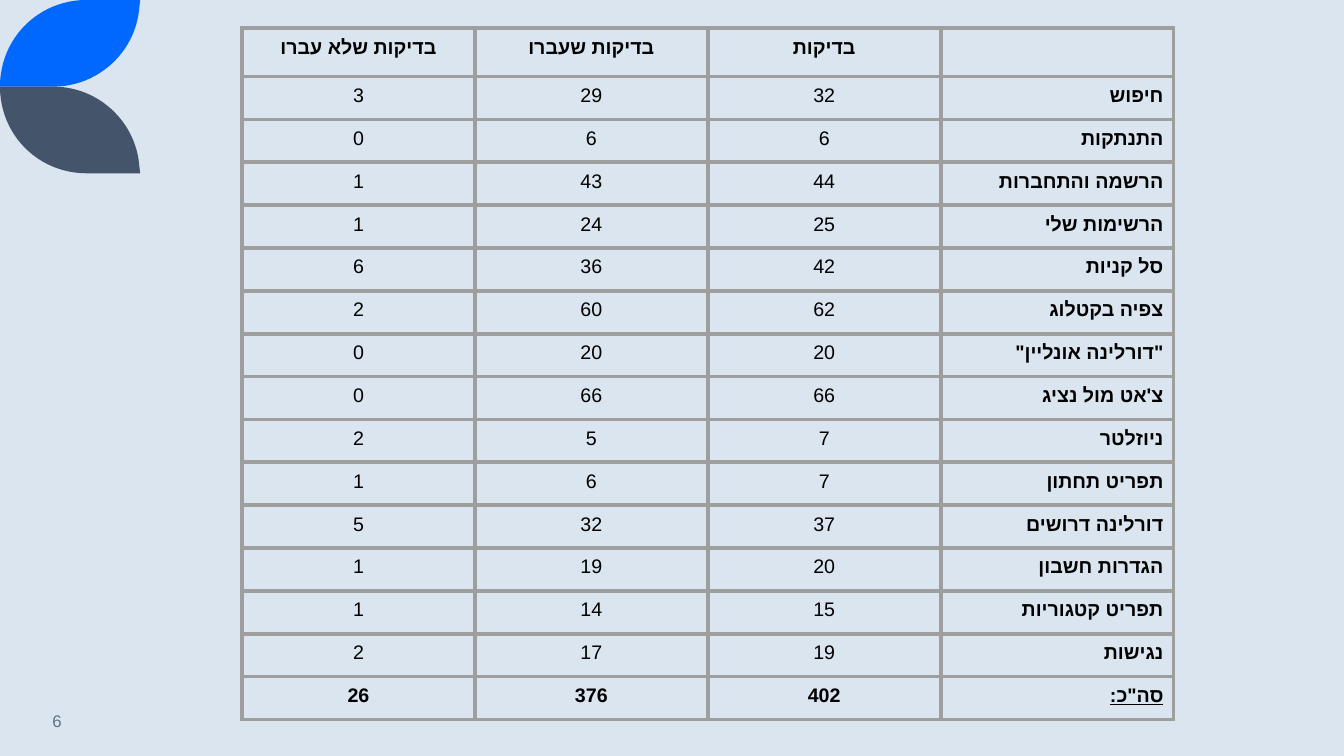
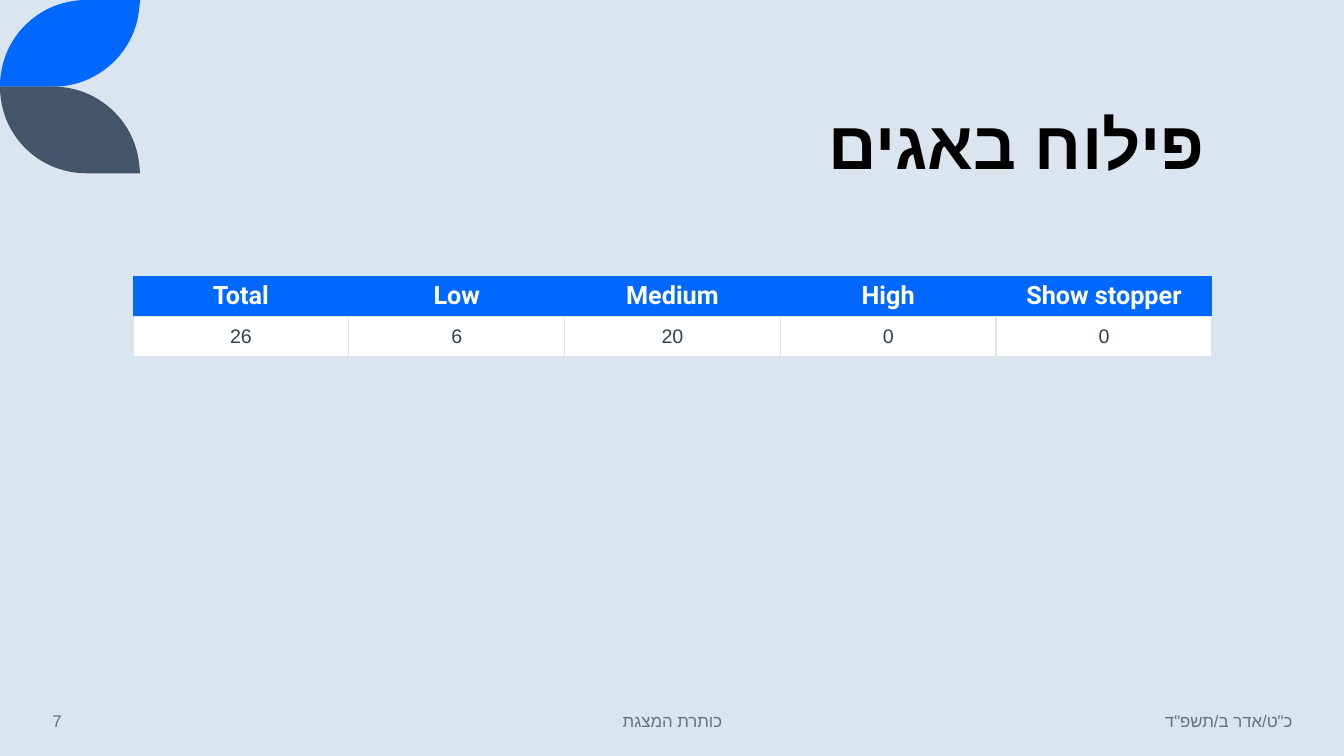
from lxml import etree
from pptx import Presentation
from pptx import util as u
from pptx.dml.color import RGBColor
from pptx.enum import text
from pptx.oxml.ns import qn

# Shared colours and text styles
PALE = RGBColor(0xDA, 0xE5, 0xEF)
BLUE = RGBColor(0x00, 0x68, 0xFF)
SLATE = RGBColor(0x44, 0x54, 0x6A)
INK = RGBColor(0x32, 0x3F, 0x4F)
FOOTER_GREY = RGBColor(0x63, 0x71, 0x83)
RULE_GREY = RGBColor(0x9E, 0x9E, 0x9E)
WHITE = RGBColor(0xFF, 0xFF, 0xFF)
BLACK = RGBColor(0, 0, 0)

LEFT, CENTER, RIGHT = text.PP_ALIGN.LEFT, text.PP_ALIGN.CENTER, text.PP_ALIGN.RIGHT
TOP, MIDDLE, BOTTOM = (text.MSO_ANCHOR.TOP, text.MSO_ANCHOR.MIDDLE,
                       text.MSO_ANCHOR.BOTTOM)
TITLE = dict(size=u.Pt(48), name="Roboto", bold=True, color=BLACK)
FOOTER = dict(size=u.Pt(12), name="Roboto", bold=False, color=FOOTER_GREY)
RESULT = dict(size=u.Pt(14), name="Arial", bold=False, color=BLACK)
RESULT_BOLD = dict(RESULT, bold=True)
BUG_HEAD = dict(size=u.Pt(18), name="Roboto", bold=True, color=WHITE)
BUG_COUNT = dict(size=u.Pt(14), name="Roboto", bold=False, color=INK)

# Content
RESULT_HEADINGS = ("בדיקות שלא עברו", "בדיקות שעברו", "בדיקות", "")
RESULTS = [  # area, tests, passed, failed
    ("חיפוש", 32, 29, 3),
    ("התנתקות", 6, 6, 0),
    ("הרשמה והתחברות", 44, 43, 1),
    ("הרשימות שלי", 25, 24, 1),
    ("סל קניות", 42, 36, 6),
    ("צפיה בקטלוג", 62, 60, 2),
    ('"דורלינה אונליין"', 20, 20, 0),
    ("צ'אט מול נציג", 66, 66, 0),
    ("ניוזלטר", 7, 5, 2),
    ("תפריט תחתון", 7, 6, 1),
    ("דורלינה דרושים", 37, 32, 5),
    ("הגדרות חשבון", 20, 19, 1),
    ("תפריט קטגוריות", 15, 14, 1),
    ("נגישות", 19, 17, 2),
    ('סה"כ:', 402, 376, 26),
]
BUG_TITLE = "פילוח באגים"
BUGS = [("Total", 26), ("Low", 6), ("Medium", 20), ("High", 0), ("Show stopper", 0)]
DECK_TITLE = "כותרת המצגת"
DECK_DATE = 'כ"ט/אדר ב/תשפ"ד'

# Result table heights: heading row, then all rows below it together
HEADING_HEIGHT, RESULTS_HEIGHT = 0.48, 6.38

# Leaf outline: start, then straight points (2 numbers) or curves (6 numbers)
LEAF_WIDTH, LEAF_HEIGHT = 1.39, 0.86
LEAF = [
    (LEAF_WIDTH, 0), (0.86, 0),
    (0.38, 0, 0, 0.38, 0, LEAF_HEIGHT),
    (0.53, LEAF_HEIGHT),
    (0.97, LEAF_HEIGHT, 1.34, 0.52, 1.38, 0.09),
]
CURVE_STEPS = 24


def write(paragraph, wording, style, align, rtl=True):
    paragraph.alignment = align
    if rtl:
        paragraph._p.get_or_add_pPr().set("rtl", "1")
    run = paragraph.add_run()
    run.text = str(wording)
    for key, value in style.items():
        if key == "color":
            run.font.color.rgb = value
        else:
            setattr(run.font, key, value)
    etree.SubElement(run._r.get_or_add_rPr(), qn("a:cs"), typeface="Arial")


def add_label(slide, box, wording, style, align, anchor=MIDDLE):
    frame = slide.shapes.add_textbox(*map(u.Inches, box)).text_frame
    frame.word_wrap = True
    frame.vertical_anchor = anchor
    write(frame.paragraphs[0], wording, style, align)
    return frame.paragraphs[0]


def leaf_points():
    points = [LEAF[0]]
    for piece in LEAF[1:]:
        if len(piece) == 2:
            points.append(piece)
            continue
        corners = [points[-1], piece[:2], piece[2:4], piece[4:]]
        for step in range(1, CURVE_STEPS + 1):
            t = step / CURVE_STEPS
            weights = ((1 - t) ** 3, 3 * t * (1 - t) ** 2, 3 * t * t * (1 - t), t ** 3)
            points.append(tuple(sum(w * c[axis] for w, c in zip(weights, corners))
                                for axis in (0, 1)))
    return points


def add_leaves(slide):
    for color, mirrored in ((BLUE, False), (SLATE, True)):
        outline = [(u.Inches(x), u.Inches(2 * LEAF_HEIGHT - y if mirrored else y))
                   for x, y in leaf_points()]
        builder = slide.shapes.build_freeform(*outline[0])
        builder.add_line_segments(outline[1:], close=True)
        leaf = builder.convert_to_shape()
        leaf.fill.solid()
        leaf.fill.fore_color.rgb = color
        leaf.line.fill.background()
        leaf.shadow.inherit = False


def add_page(prs, number):
    slide = prs.slides.add_slide(prs.slide_layouts[6])
    add_leaves(slide)
    add_label(slide, (0.42, 6.95, 1.81, 0.4), number, FOOTER, LEFT)
    return slide


def add_grid(slide, left, top, col_width, row_heights, col_count):
    table = slide.shapes.add_table(
        len(row_heights), col_count, u.Inches(left), u.Inches(top),
        u.Inches(col_width * col_count), u.Inches(sum(row_heights))).table
    table.first_row = table.horz_banding = False
    for column in table.columns:
        column.width = u.Inches(col_width)
    for row, height in zip(table.rows, row_heights):
        row.height = u.Inches(height)
    return table


def format_cell(cell, fill, anchor, inset, color, points, sides="LRTB"):
    cell.vertical_anchor = anchor
    cell.margin_top = cell.margin_bottom = u.Inches(inset)
    cell.margin_left = cell.margin_right = u.Inches(0.1)
    if fill is None:
        cell.fill.background()
    else:
        cell.fill.solid()
        cell.fill.fore_color.rgb = fill
    # Borders come before the fill in the cell properties
    properties = cell._tc.get_or_add_tcPr()
    for place, side in enumerate("LRTB"):
        line = etree.Element(qn(f"a:ln{side}"), w=str(u.Pt(points)))
        if side in sides:
            paint = etree.SubElement(line, qn("a:solidFill"))
            etree.SubElement(paint, qn("a:srgbClr"), val=str(color))
        else:
            etree.SubElement(line, qn("a:noFill"))
        properties.insert(place, line)


def build_results(prs):
    slide = add_page(prs, 6)
    rows = [RESULT_HEADINGS] + [tuple(reversed(result)) for result in RESULTS]
    heights = [HEADING_HEIGHT] + [RESULTS_HEIGHT / len(RESULTS)] * len(RESULTS)
    table = add_grid(slide, 2.4, 0.28, 2.31, heights, len(RESULT_HEADINGS))
    last_row, area_col = len(RESULTS), len(RESULT_HEADINGS) - 1
    for r, row in enumerate(rows):
        for c, wording in enumerate(row):
            cell = table.cell(r, c)
            format_cell(cell, None, TOP, 0.05 if wording == "" else 0.08, RULE_GREY, 3)
            if wording == "":
                continue
            style = RESULT_BOLD if r in (0, last_row) or c == area_col else RESULT
            if (r, c) == (last_row, area_col):
                style = dict(style, underline=True)
            write(cell.text_frame.paragraphs[0], wording, style,
                  RIGHT if c == area_col else CENTER)


def build_bugs(prs):
    slide = add_page(prs, 7)
    title = add_label(slide, (1.36, 0.42, 10.69, 1.45), BUG_TITLE, TITLE, RIGHT, BOTTOM)
    title.line_spacing = 0.9
    table = add_grid(slide, 1.32, 2.74, 2.14, [0.4, 0.4], len(BUGS))
    for c, (severity, count) in enumerate(BUGS):
        head, value = table.cell(0, c), table.cell(1, c)
        format_cell(head, BLUE, MIDDLE, 0.05, PALE, 1, sides="B")
        format_cell(value, WHITE, MIDDLE, 0.05, PALE, 1)
        write(head.text_frame.paragraphs[0], severity, BUG_HEAD, CENTER, rtl=False)
        write(value.text_frame.paragraphs[0], count, BUG_COUNT, CENTER)
    add_label(slide, (11.06, 6.95, 1.86, 0.4), DECK_DATE, FOOTER, RIGHT)
    add_label(slide, (4.42, 6.95, 4.5, 0.4), DECK_TITLE, FOOTER, CENTER)


def main():
    prs = Presentation()
    prs.slide_width, prs.slide_height = u.Inches(13.33), u.Inches(7.5)
    backdrop = prs.slide_master.background.fill
    backdrop.solid()
    backdrop.fore_color.rgb = PALE
    build_results(prs)
    build_bugs(prs)
    prs.save("out.pptx")


if __name__ == "__main__":
    main()
